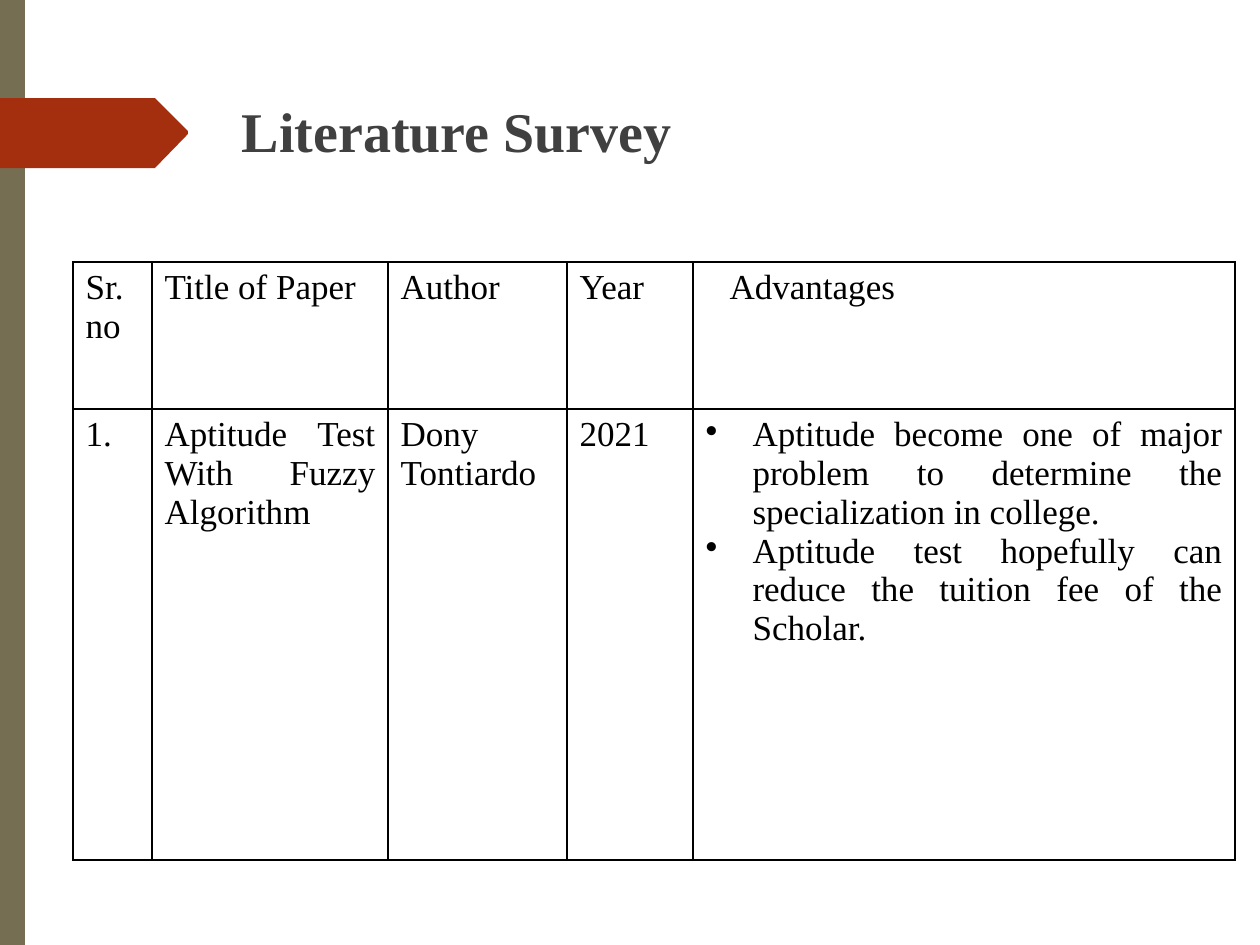
from dataclasses import dataclass
from typing import Optional

from lxml.etree import SubElement
from pptx import Presentation
from pptx.dml.color import RGBColor
from pptx.enum.shapes import MSO_SHAPE as Shape
from pptx.enum.text import MSO_ANCHOR as Anchor, PP_ALIGN as Align
from pptx.oxml.ns import qn
from pptx.util import Pt

EMU_PER_PX = 914400 / 126
FONT = "Times New Roman"
OLIVE, RUST, GREY, BLACK = "766E53", "A42F0F", "404040", "000000"

COLUMN_WIDTHS = (79, 236, 179, 126, 542)
ROW_HEIGHTS = (147, 451)
ARROW_POINTS = ((0, 98), (0, 168), (155, 168), (188, 134), (188, 131), (155, 98))


@dataclass
class CellText:
    lines: tuple[str, ...]
    align: Align = Align.JUSTIFY
    indent: int = 0
    bullet: Optional[str] = None


ROWS = (
    (
        CellText(("Sr.no",)),
        CellText(("Title of Paper",)),
        CellText(("Author",)),
        CellText(("Year",)),
        CellText(("Advantages",), indent=24),
    ),
    (
        CellText(("1.",)),
        CellText(("Aptitude Test With Fuzzy Algorithm",)),
        CellText(("Dony Tontiardo",), align=Align.LEFT),
        CellText(("2021",)),
        CellText(
            (
                "Aptitude become one of major problem to determine the "
                "specialization in college.",
                "Aptitude test hopefully can reduce the tuition fee of the Scholar.",
            ),
            indent=47,
            bullet="•",
        ),
    ),
)


def px(length: int) -> int:
    return round(length * EMU_PER_PX)


def color(value: str) -> RGBColor:
    return RGBColor.from_string(value)


def paint(shape, fill: str) -> None:
    shape.shadow.inherit = False
    shape.fill.solid()
    shape.fill.fore_color.rgb = color(fill)
    shape.line.fill.background()


def format_runs(paragraph, size: int, text_color: str, bold: bool = False) -> None:
    for run in paragraph.runs:
        run.font.name = FONT
        run.font.size = Pt(size)
        run.font.bold = bold
        run.font.color.rgb = color(text_color)


def draw_side_decoration(slide) -> None:
    strip = slide.shapes.add_shape(Shape.RECTANGLE, 0, 0, px(25), px(945))
    paint(strip, OLIVE)
    start, *rest = ARROW_POINTS
    builder = slide.shapes.build_freeform(*start, scale=EMU_PER_PX)
    builder.add_line_segments(rest, close=True)
    paint(builder.convert_to_shape(), RUST)


def draw_title(slide, text: str) -> None:
    box = slide.shapes.add_textbox(px(242), px(89), px(504), px(73))
    frame = box.text_frame
    frame.word_wrap = True
    frame.vertical_anchor = Anchor.TOP
    frame.margin_left = frame.margin_right = frame.margin_bottom = 0
    frame.margin_top = px(8)
    frame.text = text
    format_runs(frame.paragraphs[0], 32, GREY, bold=True)


def border_cell(cell) -> None:
    properties = cell._tc.get_or_add_tcPr()
    for side in ("lnL", "lnR", "lnT", "lnB"):
        line = SubElement(properties, qn(f"a:{side}"), w=str(Pt(1)))
        fill = SubElement(line, qn("a:solidFill"))
        SubElement(fill, qn("a:srgbClr"), val=BLACK)


def fill_cell(cell, content: CellText) -> None:
    border_cell(cell)
    cell.fill.background()
    cell.text_frame.text = "\n".join(content.lines)
    for paragraph in cell.text_frame.paragraphs:
        paragraph.alignment = content.align
        format_runs(paragraph, 20, BLACK)
        properties = paragraph._p.get_or_add_pPr()
        if content.indent:
            properties.set("marL", str(px(content.indent)))
        if content.bullet:
            properties.set("indent", str(-px(content.indent)))
            SubElement(properties, qn("a:buChar"), char=content.bullet)


def draw_survey_table(slide) -> None:
    frame = slide.shapes.add_table(
        len(ROWS), len(COLUMN_WIDTHS), px(73), px(262),
        px(sum(COLUMN_WIDTHS)), px(sum(ROW_HEIGHTS)),
    )
    table = frame.table
    table.first_row = table.horz_banding = False
    for column, width in zip(table.columns, COLUMN_WIDTHS):
        column.width = px(width)
    for row, height, contents in zip(table.rows, ROW_HEIGHTS, ROWS):
        row.height = px(height)
        for cell, content in zip(row.cells, contents):
            fill_cell(cell, content)


def main() -> None:
    presentation = Presentation()
    presentation.slide_width = px(1260)
    presentation.slide_height = px(945)
    slide = presentation.slides.add_slide(presentation.slide_layouts[6])
    draw_side_decoration(slide)
    draw_title(slide, "Literature Survey")
    draw_survey_table(slide)
    presentation.save("out.pptx")


if __name__ == "__main__":
    main()
